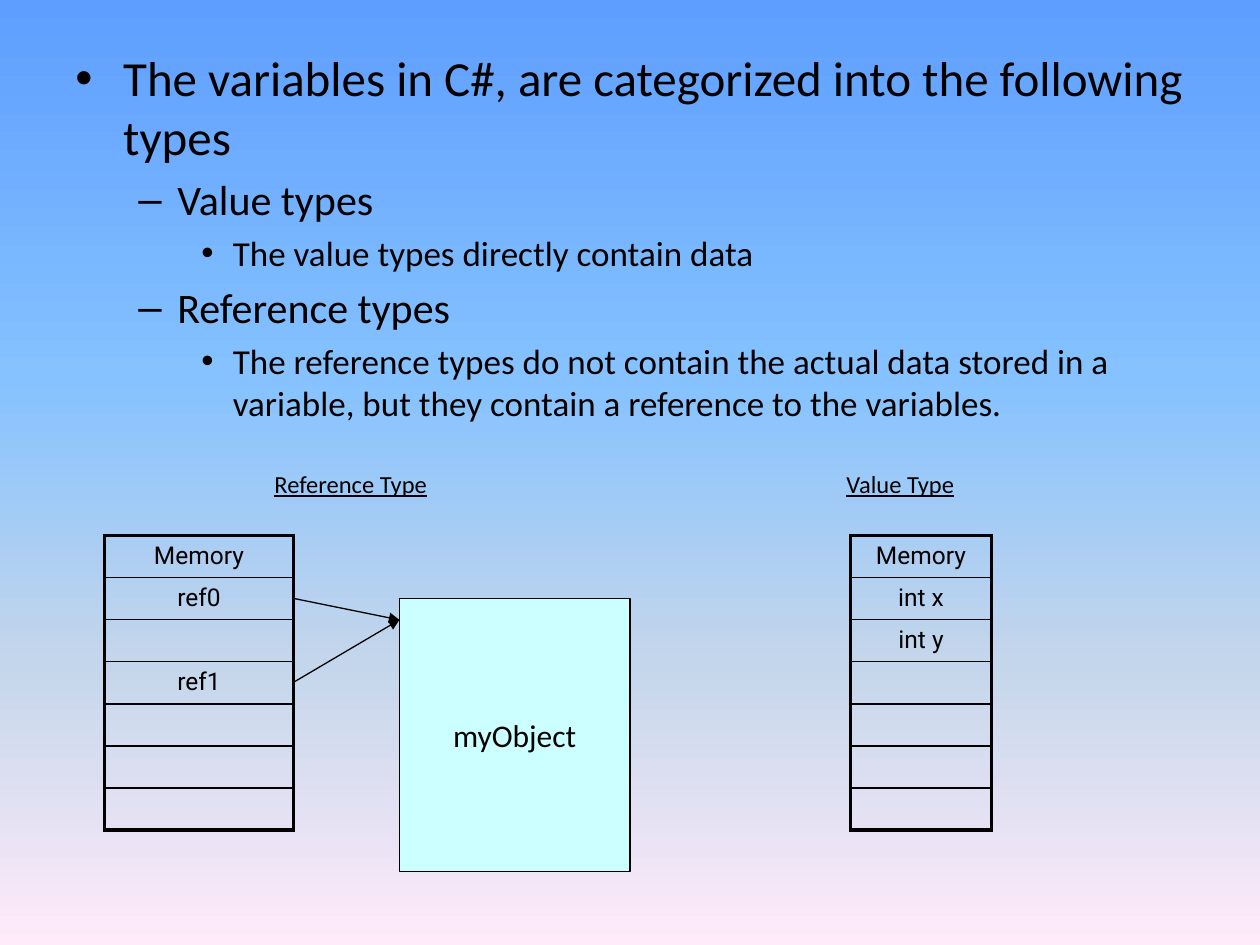
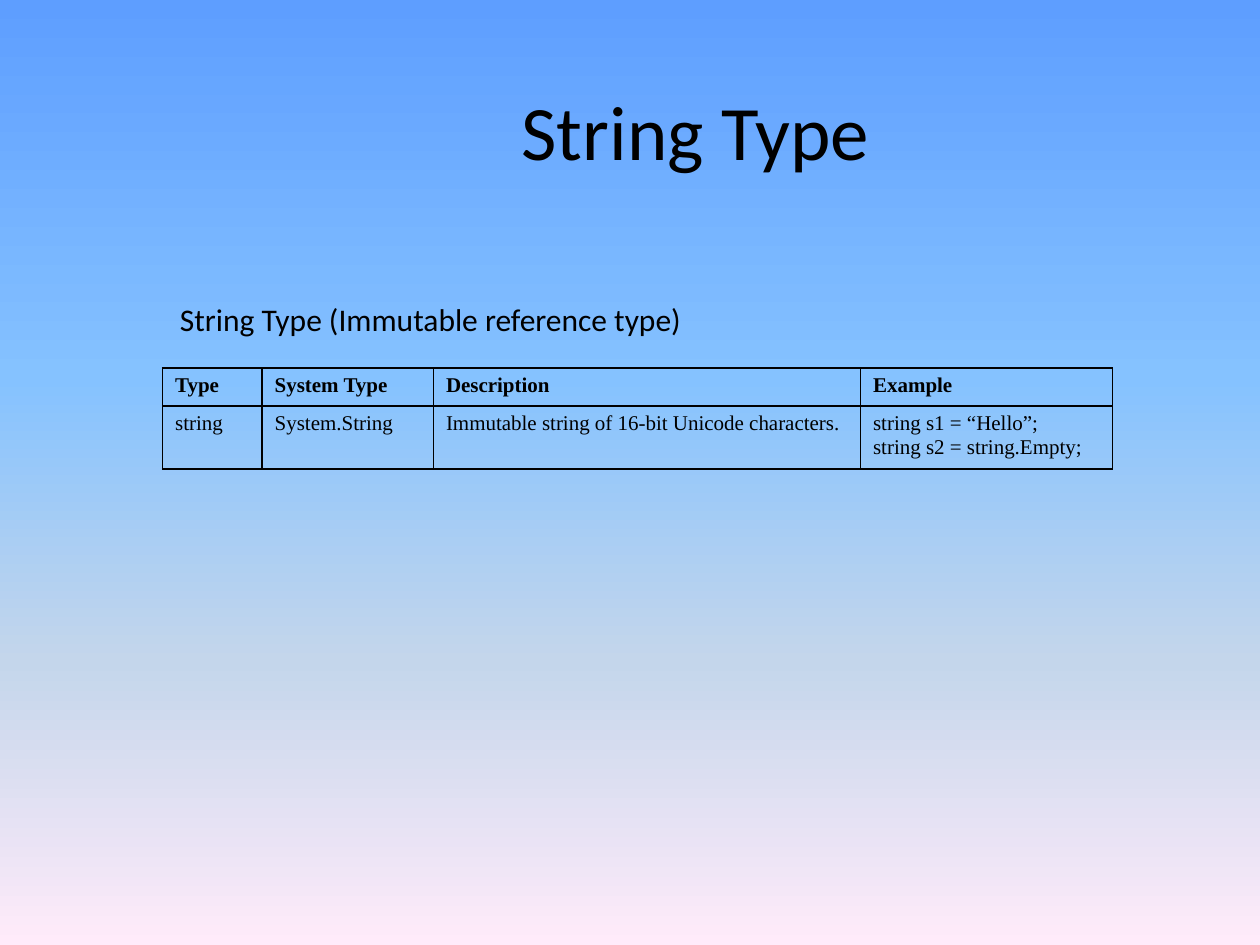
from pptx import Presentation
from pptx.dml.color import RGBColor
from pptx.enum.shapes import MSO_CONNECTOR, MSO_SHAPE
from pptx.enum.text import MSO_ANCHOR, PP_ALIGN
from pptx.oxml import parse_xml
from pptx.oxml.ns import nsdecls
from pptx.util import Inches, Pt

LEFT, CENTER = PP_ALIGN.LEFT, PP_ALIGN.CENTER
TOP, MIDDLE = MSO_ANCHOR.TOP, MSO_ANCHOR.MIDDLE
RECTANGLE, STRAIGHT = MSO_SHAPE.RECTANGLE, MSO_CONNECTOR.STRAIGHT

COLORS = {"ink": "000000", "object": "CCFFFF"}
BACKGROUND = [(0, "5E9EFF"), (40, "85C2FF"), (70, "C4D6EB"), (100, "FFEBFA")]
BODY_FONT, MEMORY_FONT, TABLE_FONT = "Calibri", "Roboto", "Times New Roman"

# level: (size, left margin, hanging indent, bullet)
OUTLINE_STYLES = [(28, 0.38, 0.38, "•"), (24, 0.81, 0.31, "–"), (20, 1.25, 0.25, "•")]
OUTLINE = [
    (0, "The variables in C#, are categorized into the following types"),
    (1, "Value types"),
    (2, "The value types directly contain data"),
    (1, "Reference types"),
    (2, "The reference types do not contain the actual data stored in a variable, "
        "but they contain a reference to the variables."),
]
DIAGRAM_HEADINGS = [("Reference Type", (2.08, 3.67, 1.54, 0.33)),
                    ("Value Type", (6.62, 3.67, 1.16, 0.33))]
REFERENCE_MEMORY = ["Memory", "ref0", "", "ref1", "", "", ""]
VALUE_MEMORY = ["Memory", "int x", "int y", "", "", "", ""]
MEMORY_TOP, MEMORY_HEIGHT = 4.25, 2.33
REFERENCE_LEFT, REFERENCE_WIDTH = 0.83, 1.5
VALUE_LEFT, VALUE_WIDTH = 6.75, 1.12
OBJECT_BOX = (3.17, 4.75, 1.83, 2.17)
ARROW_TARGET = (3.17, 4.92)

STRING_COLUMNS = [0.79, 1.36, 3.39, 2]
STRING_ROW_HEIGHTS = [0.29, 0.47]
STRING_ROWS = [
    ["Type", "System Type", "Description", "Example"],
    ["string", "System.String", "Immutable string of 16-bit Unicode characters.",
     "string s1 = “Hello”;\nstring s2 = string.Empty;"],
]


def color(name):
    return RGBColor.from_string(COLORS[name])


def write(paragraph, text, size=18, font=BODY_FONT, align=LEFT, bold=False, underline=False):
    paragraph.alignment = align
    if not text:
        paragraph._p.get_or_add_endParaRPr().set("sz", str(size * 100))
        return
    run = paragraph.add_run()
    run.text = text
    run.font.size = Pt(size)
    run.font.name = font
    run.font.bold = bold
    run.font.underline = underline
    run.font.color.rgb = color("ink")


def write_lines(frame, text, **style):
    for number, line in enumerate(text.split("\n")):
        write(frame.add_paragraph() if number else frame.paragraphs[0], line, **style)


def add_text(slide, text, box, wrap=False, anchor=TOP, **style):
    frame = slide.shapes.add_textbox(*map(Inches, box)).text_frame
    frame.word_wrap = wrap
    frame.vertical_anchor = anchor
    write_lines(frame, text, **style)
    return frame


def add_slide(presentation):
    """Add a blank slide with the shared gradient background."""
    slide = presentation.slides.add_slide(presentation.slide_layouts[6])
    stops = "".join(f'<a:gs pos="{position * 1000}"><a:srgbClr val="{value}"/></a:gs>'
                    for position, value in BACKGROUND)
    slide.element.cSld.insert(0, parse_xml(
        f'<p:bg {nsdecls("p", "a")}><p:bgPr><a:gradFill rotWithShape="1">'
        f'<a:gsLst>{stops}</a:gsLst><a:lin ang="5400000" scaled="0"/></a:gradFill>'
        '<a:effectLst/></p:bgPr></p:bg>'))
    return slide


def add_outline(slide, items, box):
    frame = add_text(slide, "", box, wrap=True)
    for number, (level, text) in enumerate(items):
        size, margin, hanging, bullet = OUTLINE_STYLES[level]
        paragraph = frame.add_paragraph() if number else frame.paragraphs[0]
        paragraph.level = level
        paragraph.space_before = Pt(size * 0.2)
        write(paragraph, text, size=size)
        properties = paragraph._p.get_or_add_pPr()
        properties.set("marL", str(Inches(margin)))
        properties.set("indent", str(-Inches(hanging)))
        properties.append(parse_xml(f'<a:buFont {nsdecls("a")} typeface="Arial"/>'))
        properties.append(parse_xml(f'<a:buChar {nsdecls("a")} char="{bullet}"/>'))


def set_borders(cell, **widths):
    properties = cell._tc.get_or_add_tcPr()
    for index, side in enumerate("LRTB"):
        properties.insert(index, parse_xml(
            f'<a:ln{side} {nsdecls("a")} w="{Pt(widths[side])}"><a:solidFill>'
            f'<a:srgbClr val="{COLORS["ink"]}"/></a:solidFill></a:ln{side}>'))


def add_grid(slide, rows, left, top, widths, heights, outer=1, header_bold=False, **style):
    """Add an unfilled table with 1 pt inner lines and outer lines of the given width."""
    table = slide.shapes.add_table(len(rows), len(widths), Inches(left), Inches(top),
                                   Inches(sum(widths)), Inches(sum(heights))).table
    table.first_row = table.horz_banding = False
    for column, width in zip(table.columns, widths):
        column.width = Inches(width)
    last_row, last_column = len(rows) - 1, len(widths) - 1
    for i, (texts, height) in enumerate(zip(rows, heights)):
        table.rows[i].height = Inches(height)
        for j, text in enumerate(texts):
            cell = table.cell(i, j)
            cell.fill.background()
            set_borders(cell, L=outer if j == 0 else 1, R=outer if j == last_column else 1,
                        T=outer if i == 0 else 1, B=outer if i == last_row else 1)
            write_lines(cell.text_frame, text, bold=header_bold and i == 0, **style)


def add_memory(slide, names, left, width):
    heights = [MEMORY_HEIGHT / len(names)] * len(names)
    add_grid(slide, [[name] for name in names], left, MEMORY_TOP, [width], heights,
             outer=2.25, size=14, font=MEMORY_FONT, align=CENTER)


def add_object(slide, text, box):
    shape = slide.shapes.add_shape(RECTANGLE, *map(Inches, box))
    shape.shadow.inherit = False
    shape.fill.solid()
    shape.fill.fore_color.rgb = color("object")
    shape.line.color.rgb = color("ink")
    shape.line.width = Pt(0.75)
    shape.text_frame.word_wrap = False
    shape.text_frame.vertical_anchor = MIDDLE
    write_lines(shape.text_frame, text, align=CENTER)


def add_arrow(slide, start, end):
    connector = slide.shapes.add_connector(STRAIGHT, *map(Inches, start + end))
    connector.line.color.rgb = color("ink")
    connector.line.width = Pt(0.75)
    connector.line._get_or_add_ln().append(
        parse_xml(f'<a:tailEnd {nsdecls("a")} type="triangle"/>'))
    connector._element.spPr.append(parse_xml(f'<a:effectLst {nsdecls("a")}/>'))


def build_variable_types(presentation):
    slide = add_slide(presentation)
    add_outline(slide, OUTLINE, (0.5, 0.33, 9, 6.42))
    add_memory(slide, VALUE_MEMORY, VALUE_LEFT, VALUE_WIDTH)
    add_object(slide, "myObject", OBJECT_BOX)
    add_memory(slide, REFERENCE_MEMORY, REFERENCE_LEFT, REFERENCE_WIDTH)
    for text, box in DIAGRAM_HEADINGS:
        add_text(slide, text, box, size=14, underline=True)
    row_height = MEMORY_HEIGHT / len(REFERENCE_MEMORY)
    for row, name in enumerate(REFERENCE_MEMORY):
        if name.startswith("ref"):
            start = (REFERENCE_LEFT + REFERENCE_WIDTH, MEMORY_TOP + (row + 0.5) * row_height)
            add_arrow(slide, start, ARROW_TARGET)


def build_string_type(presentation):
    slide = add_slide(presentation)
    add_text(slide, "String Type", (1.26, 0.23, 8.52, 1.6), wrap=True, anchor=MIDDLE,
             size=44, align=CENTER)
    add_grid(slide, STRING_ROWS, 1.29, 2.92, STRING_COLUMNS, STRING_ROW_HEIGHTS,
             header_bold=True, size=12, font=TABLE_FONT)
    add_text(slide, "String Type (Immutable reference type)", (1.33, 2.33, 4.61, 0.4))


def main():
    presentation = Presentation()
    presentation.slide_width, presentation.slide_height = Inches(10), Inches(7.5)
    build_variable_types(presentation)
    build_string_type(presentation)
    presentation.save("out.pptx")


if __name__ == "__main__":
    main()
